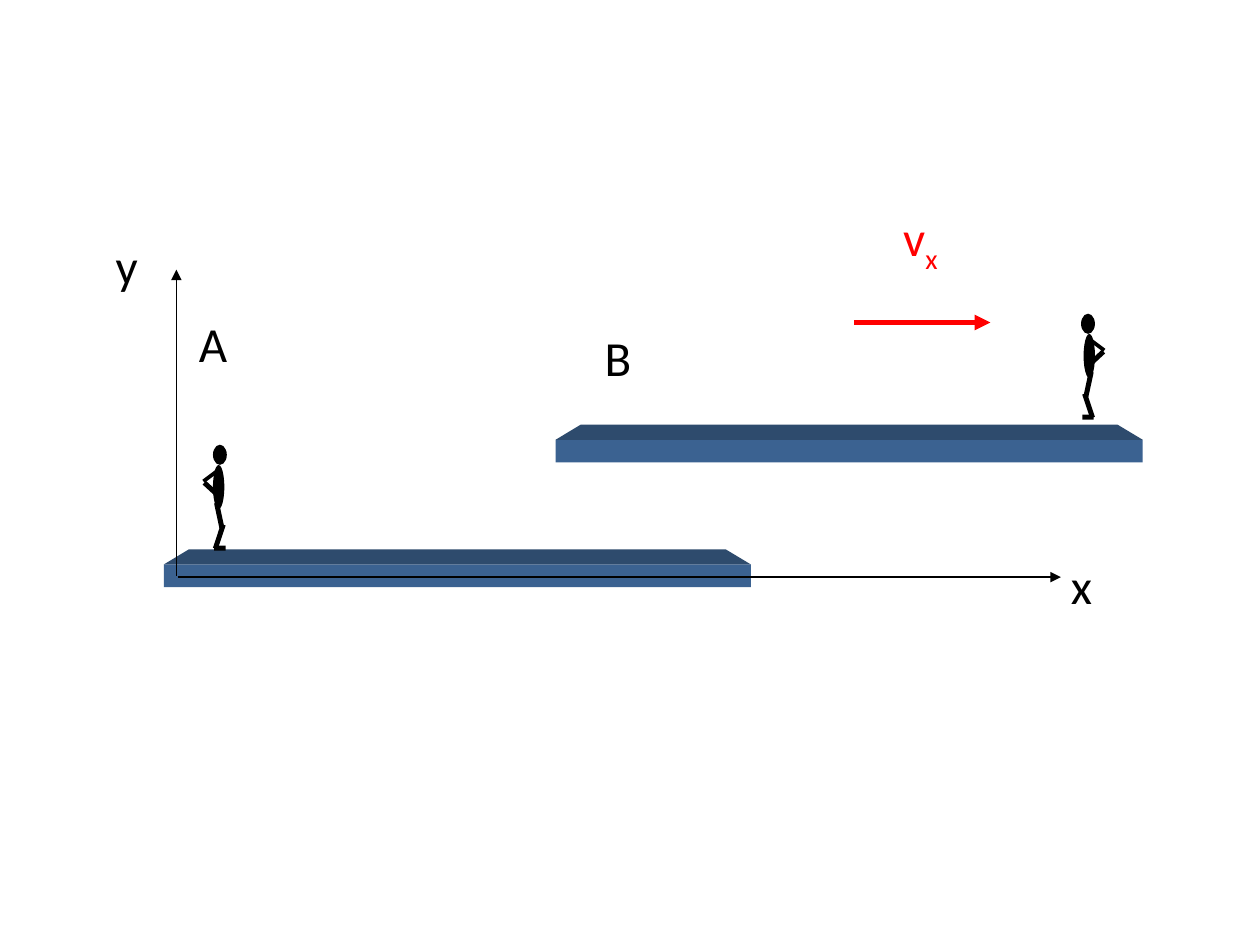
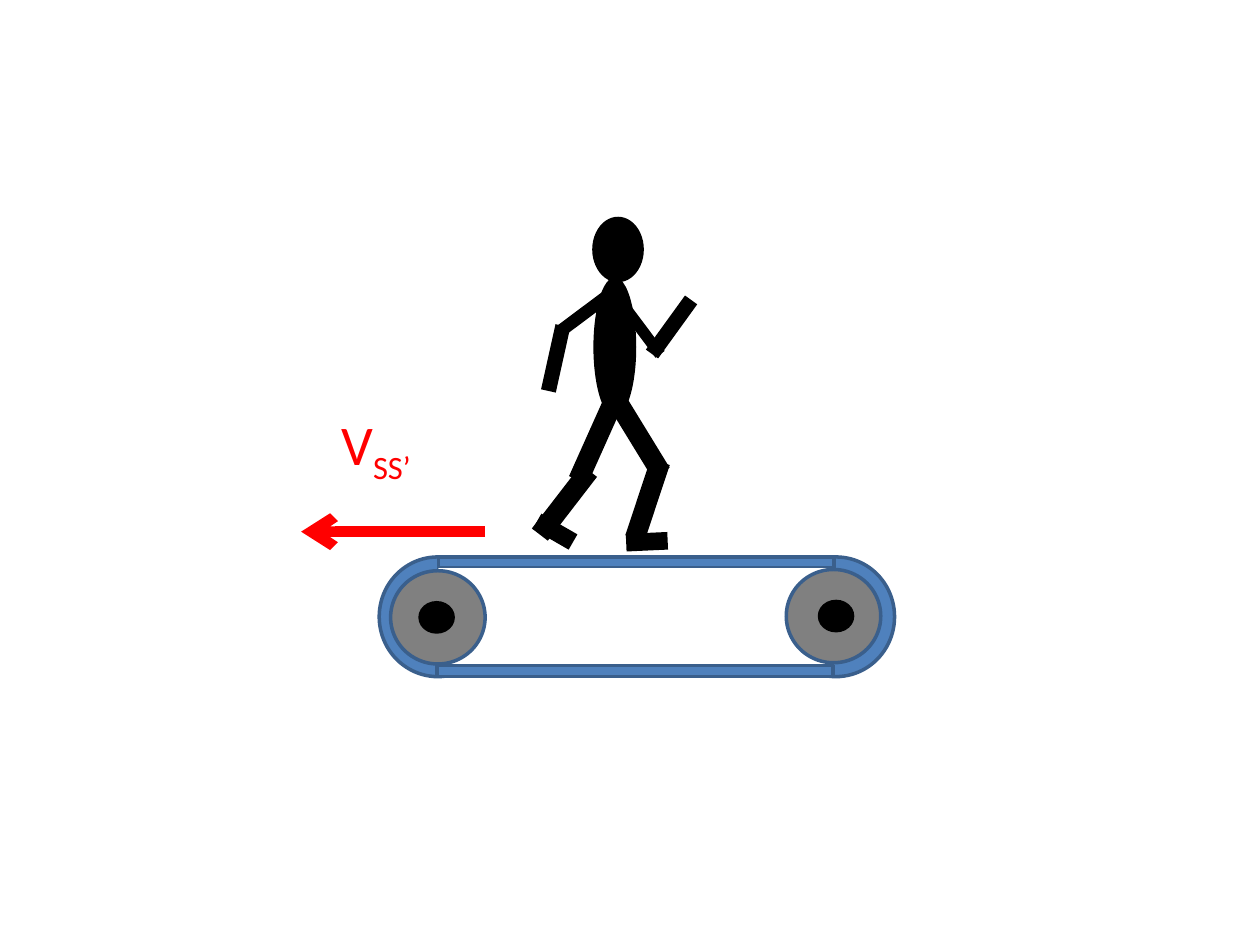
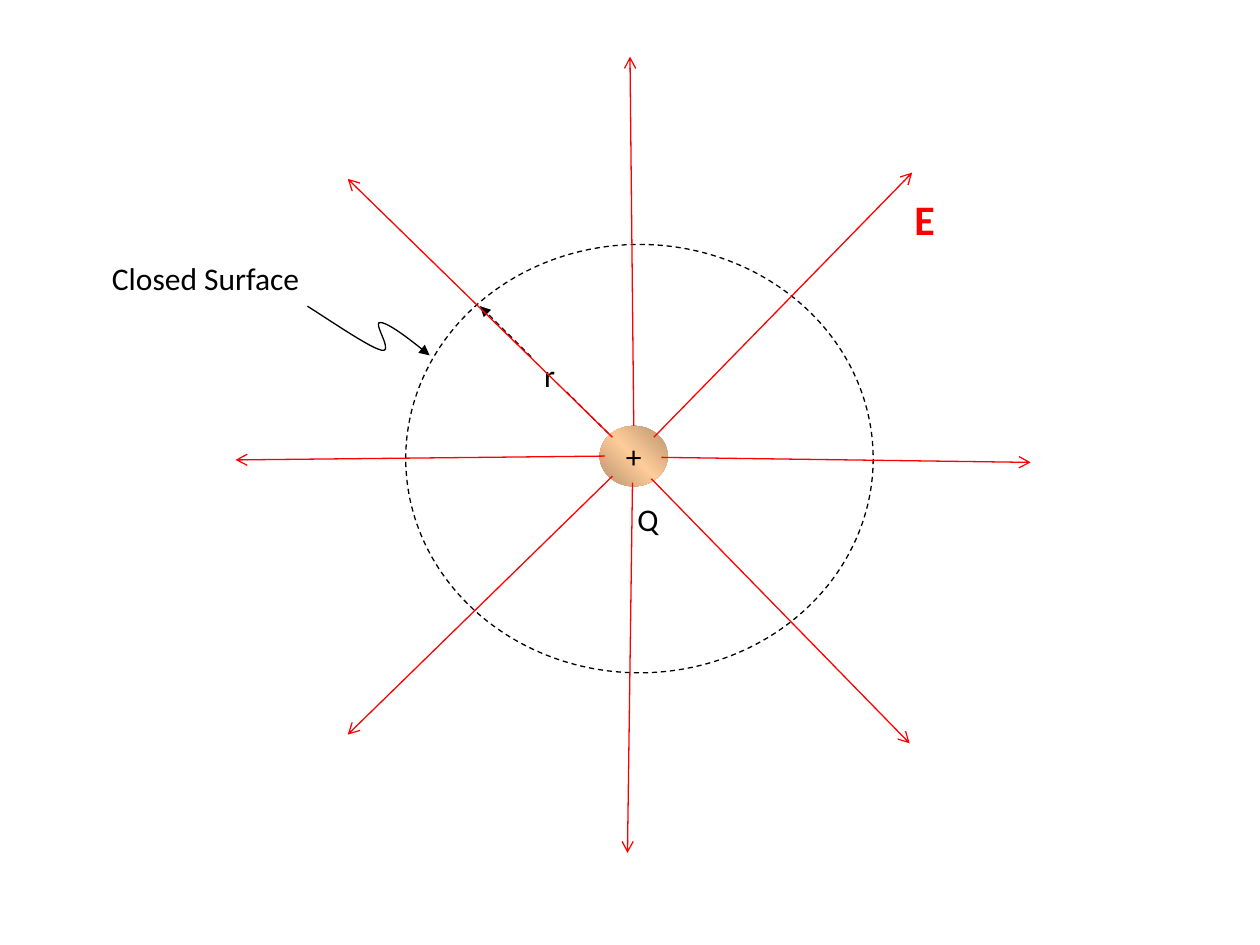
from copy import deepcopy

from lxml import etree
from pptx import Presentation
from pptx.dml.color import RGBColor
from pptx.enum.dml import MSO_LINE
from pptx.enum.shapes import MSO_CONNECTOR, MSO_SHAPE
from pptx.enum.text import MSO_ANCHOR, MSO_AUTO_SIZE, PP_ALIGN
from pptx.oxml.ns import qn
from pptx.util import Inches, Pt

RECT, OVAL = MSO_SHAPE.RECTANGLE, MSO_SHAPE.OVAL
STRAIGHT, DASH = MSO_CONNECTOR.STRAIGHT, MSO_LINE.DASH
MIDDLE, CENTER = MSO_ANCHOR.MIDDLE, PP_ALIGN.CENTER
GROW = MSO_AUTO_SIZE.SHAPE_TO_FIT_TEXT

BLACK, WHITE, RED, GRAY = "000000", "FFFFFF", "FF0000", "808080"
BLUE, EDGE = "4F81BD", "3A5F8C"
FRONT, TOP = "3B6291", "2E4B6D"
TAN, BROWN = "FFCC99", "B6926D"


def color(code):
    return RGBColor.from_string(code)


def bezier(a, b, c, d, steps=12):
    """Points after the start of a cubic curve."""
    for i in range(1, steps + 1):
        t = i / steps
        u = 1 - t
        yield tuple(u**3 * p + 3 * u * u * t * q + 3 * u * t * t * r + t**3 * s
                    for p, q, r, s in zip(a, b, c, d))


class Deck:
    def __init__(self):
        self.prs = Presentation()
        self.prs.slide_width, self.prs.slide_height = Inches(10), Inches(7.5)
        self.font = {"name": "Calibri", "size": Pt(18), "bold": False}

    def slide(self):
        self.shapes = self.prs.slides.add_slide(self.prs.slide_layouts[6]).shapes

    def paint(self, shape, fill, line=None, width=2, dash=None):
        shape.shadow.inherit = False
        if fill:
            shape.fill.solid()
            shape.fill.fore_color.rgb = color(fill)
        else:
            shape.fill.background()
        if line:
            self.stroke(shape.line, line, width, dash)
        else:
            shape.line.fill.background()

    def stroke(self, line, code, width, dash=None):
        line.color.rgb = color(code)
        line.width = Pt(width)
        if dash:
            line.dash_style = dash

    def tip(self, shape, end, kind):
        """Put an arrowhead on the headEnd or tailEnd of a line."""
        line = shape._element.spPr.find(qn("a:ln"))
        etree.SubElement(line, qn("a:" + end), type=kind)

    def shape(self, kind, box, fill=BLACK, rot=0, **line):
        shape = self.shapes.add_shape(kind, *map(Inches, box))
        shape.rotation = rot
        self.paint(shape, fill, **line)
        return shape

    def outline(self, points, fill=None, close=True, **line):
        (x, y), *rest = [tuple(map(Inches, p)) for p in points]
        pen = self.shapes.build_freeform(x, y)
        pen.add_line_segments(rest, close=close)
        shape = pen.convert_to_shape()
        self.paint(shape, fill, **line)
        return shape

    def arrow(self, start, end, code=BLACK, width=0.75, kind="triangle", dash=None):
        line = self.shapes.add_connector(STRAIGHT, *map(Inches, (*start, *end)))
        self.stroke(line.line, code, width, dash)
        self.tip(line, "tailEnd", kind)
        etree.SubElement(line._element.spPr, qn("a:effectLst"))

    def fill_in(self, frame, text, sub="", code=BLACK, **style):
        """Put text and an optional subscript in a frame."""
        para = frame.paragraphs[0]
        for part in filter(None, (text, sub)):
            run = para.add_run()
            run.text = part
            for name, value in {**self.font, **style}.items():
                setattr(run.font, name, value)
            run.font.color.rgb = color(code)
        if sub:
            run._r.get_or_add_rPr().set("baseline", "-25000")
        return para

    def label(self, box, text, sub="", wrap=False, fill=None, **style):
        shape = self.shapes.add_textbox(*map(Inches, box))
        self.paint(shape, fill)
        shape.text_frame.word_wrap = wrap
        shape.text_frame.auto_size = GROW
        self.fill_in(shape.text_frame, text, sub, **style)

    def charge(self, box):
        """Draw the shaded ball with its plus sign."""
        ball = self.shape(OVAL, box)
        ball.fill.gradient()
        ball.fill.gradient_angle = 45
        stops = ball._element.spPr.find(".//" + qn("a:gsLst"))
        stops.append(deepcopy(stops[0]))
        for stop, place, code in zip(ball.fill.gradient_stops, (0, 0.5, 1), (BROWN, TAN, BROWN)):
            stop.position = place
            stop.color.rgb = color(code)
        frame = ball.text_frame
        frame.word_wrap, frame.vertical_anchor = False, MIDDLE
        self.fill_in(frame, "+").alignment = CENTER

    def figure(self, parts, flip=None, rise=0):
        """Draw a person; flip is the sum of an x and its mirrored x."""
        for kind, x, y, wide, high, rot in parts:
            if flip:
                x, rot = flip - x - wide, -rot
            self.shape(kind, (x, y - rise, wide, high), rot=rot)

    def slab(self, x, y, wide=4.66, high=0.18, slant=0.2, depth=0.12):
        self.shape(RECT, (x, y, wide, high), FRONT)
        self.outline([(x, y), (x + slant, y - depth),
                      (x + wide - slant, y - depth), (x + wide, y)], TOP)


STANDER = [
    (OVAL, 1.69, 3.53, 0.11, 0.16, 0),
    (OVAL, 1.69, 3.69, 0.09, 0.35, 0),
    (RECT, 1.66, 3.7, 0.03, 0.15, 53.2),
    (RECT, 1.65, 3.81, 0.04, 0.13, -47.3),
    (RECT, 1.72, 3.99, 0.04, 0.2, -12.1),
    (RECT, 1.72, 4.16, 0.04, 0.2, 18.4),
    (RECT, 1.7, 4.33, 0.09, 0.04, 0),
]

WALKER = [
    (OVAL, 4.7, 1.72, 0.41, 0.52, 0),
    (OVAL, 4.71, 2.2, 0.34, 1.11, 0),
    (RECT, 4.61, 2.2, 0.1, 0.54, 53.2),
    (RECT, 5.27, 2.33, 0.12, 0.53, 35.9),
    (RECT, 4.64, 3.2, 0.16, 0.64, 24.1),
    (RECT, 5.06, 3.65, 0.16, 0.64, 18.4),
    (RECT, 4.97, 4.23, 0.33, 0.14, -2.6),
    (RECT, 5.02, 2.29, 0.09, 0.58, 143.2),
    (RECT, 4.35, 2.58, 0.12, 0.53, 12.5),
    (RECT, 5, 3.16, 0.16, 0.64, -31.5),
    (RECT, 4.4, 3.67, 0.16, 0.64, 37.6),
    (RECT, 4.24, 4.15, 0.33, 0.14, 29.9),
]

RAYS = [
    ((5.03, 3.38), (5, 0.45)),
    ((5.02, 3.83), (4.98, 6.77)),
    ((4.8, 3.62), (1.87, 3.65)),
    ((5.25, 3.63), (8.18, 3.67)),
    ((5.19, 3.47), (7.24, 1.37)),
    ((4.86, 3.78), (2.76, 5.83)),
    ((4.86, 3.47), (2.76, 1.42)),
    ((5.17, 3.8), (7.22, 5.9)),
]

SQUIGGLE = [
    (3.41, 2.82), (3.25, 2.69), (3.08, 2.56), (3.02, 2.56), (2.95, 2.55),
    (3.13, 2.8), (3.03, 2.78), (2.94, 2.76), (2.69, 2.59), (2.44, 2.43),
]


def frames(deck):
    deck.slide()
    deck.slab(1.3, 4.48)
    deck.slab(4.41, 3.49)
    deck.arrow((1.4, 4.57), (1.4, 2.14))
    deck.arrow((1.41, 4.58), (8.42, 4.58))
    deck.arrow((6.78, 2.56), (7.86, 2.56), RED, 3)
    deck.figure(STANDER, flip=10.38, rise=1.04)
    deck.figure(STANDER)
    big = Pt(28)
    for text, x, y, wide in [("y", 0.82, 1.82, 0.38), ("x", 8.4, 4.36, 0.37),
                             ("A", 1.48, 2.44, 0.43), ("B", 4.7, 2.55, 0.42)]:
        deck.label((x, y, wide, 0.57), text, size=big)
    deck.label((7.07, 1.6, 0.49, 0.57), "v", "x", code=RED, size=big)


def treadmill(deck):
    deck.slide()
    deck.figure(WALKER)
    for x in (3.01, 6.17):
        deck.shape(OVAL, (x, 4.42, 0.93, 0.95), BLUE, line=EDGE)
    deck.shape(RECT, (3.48, 4.42, 3.14, 0.09), BLUE, line=EDGE)
    deck.shape(RECT, (3.48, 4.51, 3.14, 0.82), WHITE)
    for x, y in ((3.1, 4.53), (6.24, 4.52)):
        deck.shape(OVAL, (x, y, 0.75, 0.74), GRAY, line=EDGE)
    deck.shape(RECT, (3.47, 5.28, 3.14, 0.09), BLUE, line=EDGE)
    for x, y in ((3.32, 4.77), (6.49, 4.76)):
        deck.shape(OVAL, (x, y, 0.29, 0.26))
    deck.arrow((3.85, 4.22), (2.39, 4.22), RED, 6, "arrow")
    deck.label((2.61, 3.2, 0.98, 0.64), "V", "SS’", wrap=True, code=RED, size=Pt(32))


def field(deck):
    deck.slide()
    deck.shape(OVAL, (3.22, 1.94, 3.71, 3.4), None, line=BLACK, width=0.75, dash=DASH)
    curve = SQUIGGLE[:1]
    for i in range(0, len(SQUIGGLE) - 1, 3):
        curve += bezier(*SQUIGGLE[i:i + 4])
    pointer = deck.outline(curve, close=False, line=BLACK, width=0.75)
    deck.tip(pointer, "headEnd", "triangle")
    deck.label((0.79, 2.01, 1.71, 0.4), "Closed Surface")
    deck.label((4.96, 3.92, 0.38, 0.37), "Q")
    deck.arrow((5.03, 3.64), (3.81, 2.43), dash=DASH)
    deck.charge((4.76, 3.38, 0.54, 0.48))
    deck.label((4.22, 2.78, 0.28, 0.37), "r", fill=WHITE)
    for start, end in RAYS:
        deck.arrow(start, end, RED, kind="arrow")
    deck.label((7.16, 1.49, 0.37, 0.5), "E", code=RED, size=Pt(24), bold=True)


def main():
    deck = Deck()
    frames(deck)
    treadmill(deck)
    field(deck)
    deck.prs.save("out.pptx")


if __name__ == "__main__":
    main()
